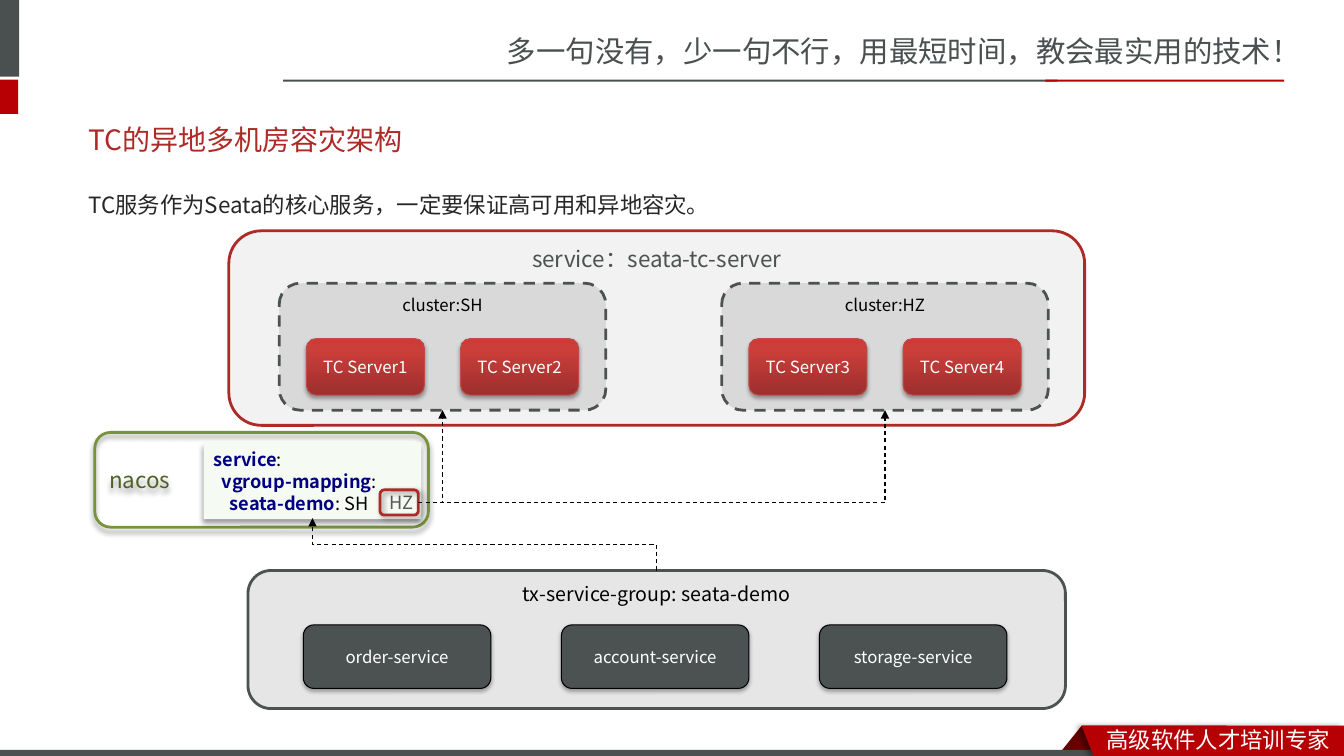
from dataclasses import dataclass
from pptx import Presentation
from pptx.dml.color import RGBColor
from pptx.enum.dml import MSO_LINE
from pptx.enum.shapes import MSO_CONNECTOR, MSO_SHAPE
from pptx.enum.text import MSO_ANCHOR, PP_ALIGN
from pptx.oxml.ns import qn
from pptx.util import Inches, Pt
from lxml.etree import SubElement


@dataclass(frozen=True)
class Theme:
    font: str = "Noto Sans CJK SC"
    white: str = "FFFFFF"
    black: str = "000000"
    slate: str = "49504F"
    node: str = "4C5252"
    accent: str = "B60004"
    fold: str = "680000"
    red: str = "AD2A26"
    red_edge: str = "BF4C48"
    server: tuple = ((0, "9C2F2D"), (0.8, "CB3E3A"), (1, "CE3B37"))
    panel: str = "F2F2F2"
    cluster: str = "D9D9D9"
    group: str = "E6E6E6"
    code: str = "F5FAF2"
    key: str = "000080"
    green: str = "77933C"
    dark_green: str = "4F6228"
    body: str = "262626"
    muted: str = "595959"
    banner: int = 21
    title: int = 20
    text: int = 16
    label: int = 14
    mono: int = 13
    small: int = 12


T = Theme()
COLS, ROWS = 133.33, 75
CELL = Inches(0.1)

BANNER = "多一句没有，少一句不行，用最短时间，教会最实用的技术！"
TAG = "高级软件人才培训专家"
TITLE = "TC的异地多机房容灾架构"
INTRO = "TC服务作为Seata的核心服务，一定要保证高可用和异地容灾。"
SERVICE = "service：seata-tc-server"
CLUSTERS = [("cluster:SH", ["TC Server1", "TC Server2"]),
            ("cluster:HZ", ["TC Server3", "TC Server4"])]
GROUP = "tx-service-group: seata-demo"
SERVICES = ["order-service", "account-service", "storage-service"]
MAPPING = [("", "service", ":"), ("  ", "vgroup-mapping", ":"),
           ("    ", "seata-demo", ": SH")]
BARS = [((0, 0, 1.9, 7.6), T.slate), ((0, 7.9, 1.8, 3.4), T.accent),
        ((28.1, 7.9, 76.8, 0.2), T.slate), ((103.7, 7.9, 23.7, 0.2), T.accent),
        ((0, 74.4, 109.9, 0.6), T.slate)]

SOFT = (40, 4, 3)
TIGHT = (35, 3.1, 1.8)

prs = Presentation()
prs.slide_width, prs.slide_height = round(COLS * CELL), ROWS * CELL
s = prs.slides.add_slide(prs.slide_layouts[6])


def cells(*values):
    return [round(v * CELL) for v in values]


def rgb(code):
    return RGBColor.from_string(code)


def add_shadow(sp, strength, angle):
    alpha, blur, dist = strength
    effects = sp._element.spPr.find(qn("a:effectLst"))
    shadow = SubElement(effects, qn("a:outerShdw"), blurRad=str(Pt(blur)),
                        dist=str(Pt(dist)), dir=str(angle * 60000),
                        algn="ctr", rotWithShape="0")
    color = SubElement(shadow, qn("a:srgbClr"), val=T.black)
    SubElement(color, qn("a:alpha"), val=str(alpha * 1000))


def paint(sp, fill=None, line=None, width=2, dash=False, shadow=None, angle=90):
    sp.shadow.inherit = False
    if fill is None:
        sp.fill.background()
    elif isinstance(fill, str):
        sp.fill.solid()
        sp.fill.fore_color.rgb = rgb(fill)
    else:
        sp.fill.gradient()
        sp.fill.gradient_angle = 90
        stops = sp.fill._fill._gradFill.find(qn("a:gsLst"))
        stops.clear()
        for pos, code in fill:
            gs = SubElement(stops, qn("a:gs"), pos=str(round(pos * 100000)))
            SubElement(gs, qn("a:srgbClr"), val=code)
    if line:
        sp.line.color.rgb = rgb(line)
        sp.line.width = Pt(width)
        if dash:
            sp.line.dash_style = MSO_LINE.DASH
    else:
        sp.line.fill.background()
    if shadow:
        add_shadow(sp, shadow, angle)
    return sp


def add_run(p, text, size, color, bold=False):
    r = p.add_run()
    r.text = text
    r.font.size, r.font.bold, r.font.name = Pt(size), bold, T.font
    r.font.color.rgb = rgb(color)
    SubElement(r._r.get_or_add_rPr(), qn("a:ea"), typeface=T.font)


def write(sp, text, size, color, align=PP_ALIGN.CENTER, anchor=MSO_ANCHOR.TOP):
    tf = sp.text_frame
    tf.word_wrap = True
    tf.vertical_anchor = anchor
    p = tf.paragraphs[0]
    p.alignment = align
    add_run(p, text, size, color)
    return p


def box(at, kind=MSO_SHAPE.ROUNDED_RECTANGLE, **style):
    return paint(s.shapes.add_shape(kind, *cells(*at)), **style)


def label(at, text, size, color, anchor=MSO_ANCHOR.TOP):
    return write(s.shapes.add_textbox(*cells(*at)), text, size, color,
                 PP_ALIGN.LEFT, anchor)


def arrow(start, end, preset="bentConnector2"):
    c = s.shapes.add_connector(MSO_CONNECTOR.ELBOW, *cells(*start, *end))
    spPr = c._element.spPr
    spPr.find(qn("a:prstGeom")).set("prst", preset)
    c.line.color.rgb = rgb(T.black)
    c.line.width = Pt(0.75)
    c.line.dash_style = MSO_LINE.DASH
    SubElement(c.line._get_or_add_ln(), qn("a:tailEnd"), type="triangle")
    SubElement(spPr, qn("a:effectLst"))
    return c


def rising_arrow(start, end):
    (x1, y1), (x2, y2) = start, end
    mx, my = (x1 + x2) / 2, (y1 + y2) / 2
    half_w, half_h = (y1 - y2) / 2, (x1 - x2) / 2
    c = arrow((mx - half_w, my + half_h), (mx + half_w, my - half_h),
              "bentConnector3")
    c._element.spPr.find(qn("a:xfrm")).set("rot", str(270 * 60000))


fold = box((104.9, 72, 16.8, 3), MSO_SHAPE.PARALLELOGRAM, fill=T.fold)
fold.adjustments[0] = 0.8
for at, color in BARS:
    box(at, MSO_SHAPE.RECTANGLE, fill=color)
label((49.3, 2.8, 84, 4.7), BANNER, T.banner, T.slate)
fb = s.shapes.build_freeform(*cells(107.3, 72), scale=1.0)
fb.add_line_segments([cells(*pt) for pt in
                      ((COLS, 72), (COLS, ROWS), (108.5, ROWS))], close=True)
paint(fb.convert_to_shape(), fill=T.accent, shadow=SOFT, angle=180)
label((108.8, 71.5, 24.5, 3.5), TAG, T.text, T.white)

write(box((9.4, 42.9, 33.1, 9.4), line=T.green, shadow=SOFT), "nacos", T.text,
      T.dark_green, PP_ALIGN.LEFT, MSO_ANCHOR.MIDDLE)
write(box((24.6, 56.6, 81.1, 13.7), fill=T.group, line=T.node),
      GROUP, T.label, T.black)
write(box((22.7, 22.9, 84.9, 19.3), fill=T.panel, line=T.red),
      SERVICE, T.text, T.node)
label((7.8, 11, 117, 5.7), TITLE, T.title, T.red, MSO_ANCHOR.MIDDLE)
label((7.8, 17.8, 117, 5.6), INTRO, T.text, T.body).line_spacing = 1.25

for i, (name, servers) in enumerate(CLUSTERS):
    x = 27.7 + 43.9 * i
    write(box((x, 28.1, 32.4, 12.6), fill=T.cluster, line=T.node, dash=True),
          name, T.small, T.black)
    for j, server in enumerate(servers):
        write(box((x + 2.7 + 15.3 * j, 33.6, 11.7, 5.6), fill=T.server,
                  line=T.red_edge, width=0.75, shadow=TIGHT),
              server, T.small, T.white, anchor=MSO_ANCHOR.MIDDLE)

for i, name in enumerate(SERVICES):
    write(box((30.1 + 25.6 * i, 62, 18.6, 6.3), fill=T.node, line=T.black,
              width=0.75, shadow=TIGHT),
          name, T.small, T.white, anchor=MSO_ANCHOR.MIDDLE)

code = box((20.2, 43.9, 21.6, 7.6), MSO_SHAPE.RECTANGLE, fill=T.code, shadow=SOFT)
code.text_frame.word_wrap = False
code.text_frame.vertical_anchor = MSO_ANCHOR.MIDDLE
p = code.text_frame.paragraphs[0]
p.alignment = PP_ALIGN.LEFT
p.line_spacing = Pt(15.8)
for i, (indent, key, value) in enumerate(MAPPING):
    if i:
        p.add_line_break()
        add_run(p, indent, T.mono, T.black)
    add_run(p, key, T.mono, T.key, True)
    add_run(p, value, T.mono, T.black)

rising_arrow((65.1, 56.6), (31, 51.4))
arrow((41.5, 49.9), (43.9, 40.7))
choice = box((38.6, 48.2, 2.4, 3.2), MSO_SHAPE.RECTANGLE, fill=T.code)
choice.text_frame.margin_left = choice.text_frame.margin_right = 0
write(choice, "HZ", T.mono, T.muted, PP_ALIGN.LEFT)
box((37.7, 48.6, 3.8, 2.5), line=T.red, shadow=SOFT, angle=45)
arrow((41.5, 49.9), (87.8, 40.7))

prs.save("out.pptx")
